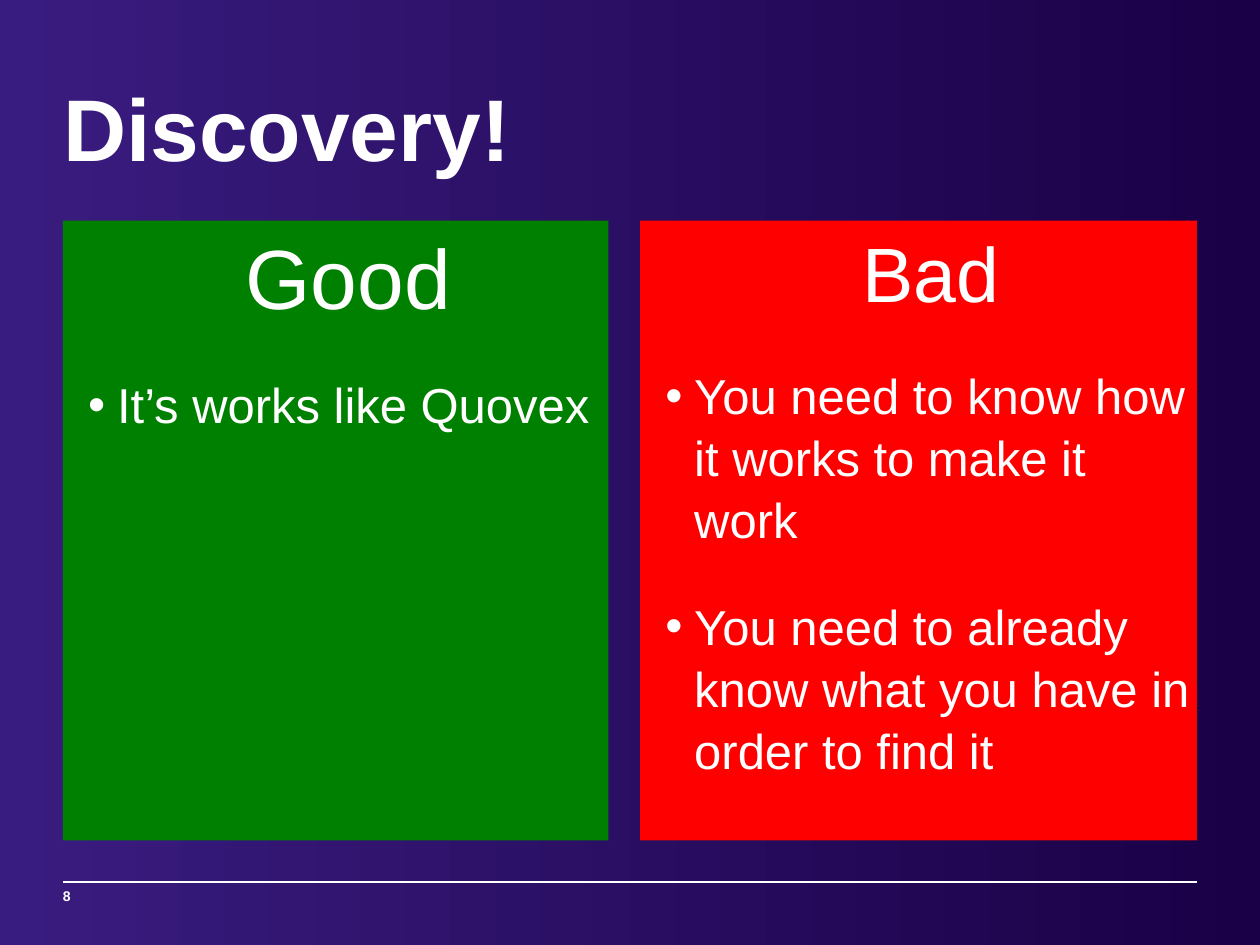
from lxml.etree import SubElement
from pptx import Presentation
from pptx.dml.color import RGBColor
from pptx.enum.shapes import MSO_CONNECTOR as Connector, MSO_SHAPE as Shape
from pptx.enum.text import MSO_ANCHOR as Anchor, MSO_AUTO_SIZE as AutoSize, PP_ALIGN as Align
from pptx.oxml.ns import qn
from pptx.util import Inches, Pt

WHITE = RGBColor(0xFF, 0xFF, 0xFF)
GREEN = RGBColor(0x00, 0x80, 0x00)
RED = RGBColor(0xFF, 0x00, 0x00)
VIOLET = RGBColor(0x39, 0x1C, 0x7F)
INDIGO = RGBColor(0x1A, 0x00, 0x46)

SLIDE_W, SLIDE_H = Inches(10), Inches(7.5)
MARGIN = Inches(0.5)
CONTENT_W = SLIDE_W - 2 * MARGIN
FOOTER_TOP = Inches(7)
PANEL_TOP, PANEL_H = Inches(1.75), Inches(4.92)
GOOD_W, BAD_W = Inches(4.33), Inches(4.42)
BULLET_INDENT = Inches(0.23)


def prepare_frame(frame, anchor=Anchor.TOP, left=0, top=0):
    frame.word_wrap = True
    frame.vertical_anchor = anchor
    frame.margin_left, frame.margin_top = left, top
    frame.margin_right = frame.margin_bottom = 0


def write(paragraph, text, size, bold=False, align=Align.LEFT, after=0):
    paragraph.alignment = align
    paragraph.line_spacing = 1.05
    paragraph.space_before = Pt(0)
    paragraph.space_after = Pt(after)
    run = paragraph.add_run()
    run.text = text
    run.font.name, run.font.size, run.font.bold = "Arial", Pt(size), bold
    run.font.color.rgb = WHITE


def add_bullet(paragraph):
    props = paragraph._p.get_or_add_pPr()
    props.set("marL", str(BULLET_INDENT))
    props.set("indent", str(-BULLET_INDENT))
    colour = SubElement(props, qn("a:buClr"))
    SubElement(colour, qn("a:srgbClr"), val=str(WHITE))
    SubElement(props, qn("a:buFont"), typeface="Arial")
    SubElement(props, qn("a:buChar"), char="•")


def add_backdrop(slide, left, top, width, height):
    backdrop = slide.shapes.add_shape(Shape.RECTANGLE, left, top, width, height)
    backdrop.shadow.inherit = False
    backdrop.line.fill.background()
    backdrop.fill.gradient()
    backdrop.fill.gradient_angle = 0
    for stop, colour, position in zip(backdrop.fill.gradient_stops, (VIOLET, INDIGO), (0, 1)):
        stop.color.rgb = colour
        stop.position = position
    # Send behind the title
    slide.shapes._spTree.insert(2, backdrop._element)


def add_title(slide, text, left, top, width, height):
    title = slide.shapes.title
    title.left, title.top, title.width, title.height = left, top, width, height
    prepare_frame(title.text_frame, Anchor.BOTTOM)
    title.text_frame.auto_size = AutoSize.SHAPE_TO_FIT_TEXT
    write(title.text_frame.paragraphs[0], text, 50, bold=True)


def add_footer(slide, number, left, top, width):
    rule = slide.shapes.add_connector(Connector.STRAIGHT, left, top, left + width, top)
    rule.line.color.rgb = WHITE
    rule.line.width = Pt(1)
    SubElement(rule._element.spPr, qn("a:effectLst"))
    page = slide.shapes.add_textbox(left, top + Inches(0.01), Inches(2.33), Inches(0.4))
    prepare_frame(page.text_frame, top=Inches(0.03))
    write(page.text_frame.paragraphs[0], number, 8, bold=True)


def add_panel(slide, heading, heading_size, points, colour, left, top, width, height):
    panel = slide.shapes.add_shape(Shape.RECTANGLE, left, top, width, height)
    panel.shadow.inherit = False
    panel.fill.solid()
    panel.fill.fore_color.rgb = colour
    panel.line.fill.background()
    frame = panel.text_frame
    prepare_frame(frame, left=Inches(0.2))
    write(frame.paragraphs[0], heading, heading_size, align=Align.CENTER, after=26)
    for point in points:
        paragraph = frame.add_paragraph()
        # Spacing elements are placed ahead of the bullet by python-pptx
        add_bullet(paragraph)
        write(paragraph, point, 28, after=26)


def main():
    deck = Presentation()
    deck.slide_width, deck.slide_height = SLIDE_W, SLIDE_H
    slide = deck.slides.add_slide(deck.slide_layouts[5])

    add_backdrop(slide, 0, 0, SLIDE_W, SLIDE_H)
    add_title(slide, "Discovery!", MARGIN, Inches(0.58), CONTENT_W, Inches(0.84))
    add_footer(slide, "8", MARGIN, FOOTER_TOP, CONTENT_W)

    # Good on the left margin, bad on the right margin
    add_panel(slide, "Good", 48, ["It’s works like Quovex"], GREEN,
              MARGIN, PANEL_TOP, GOOD_W, PANEL_H)
    add_panel(slide, "Bad", 44,
              ["You need to know how it works to make it work",
               "You need to already know what you have in order to find it"],
              RED, SLIDE_W - MARGIN - BAD_W, PANEL_TOP, BAD_W, PANEL_H)

    deck.save("out.pptx")


if __name__ == "__main__":
    main()
